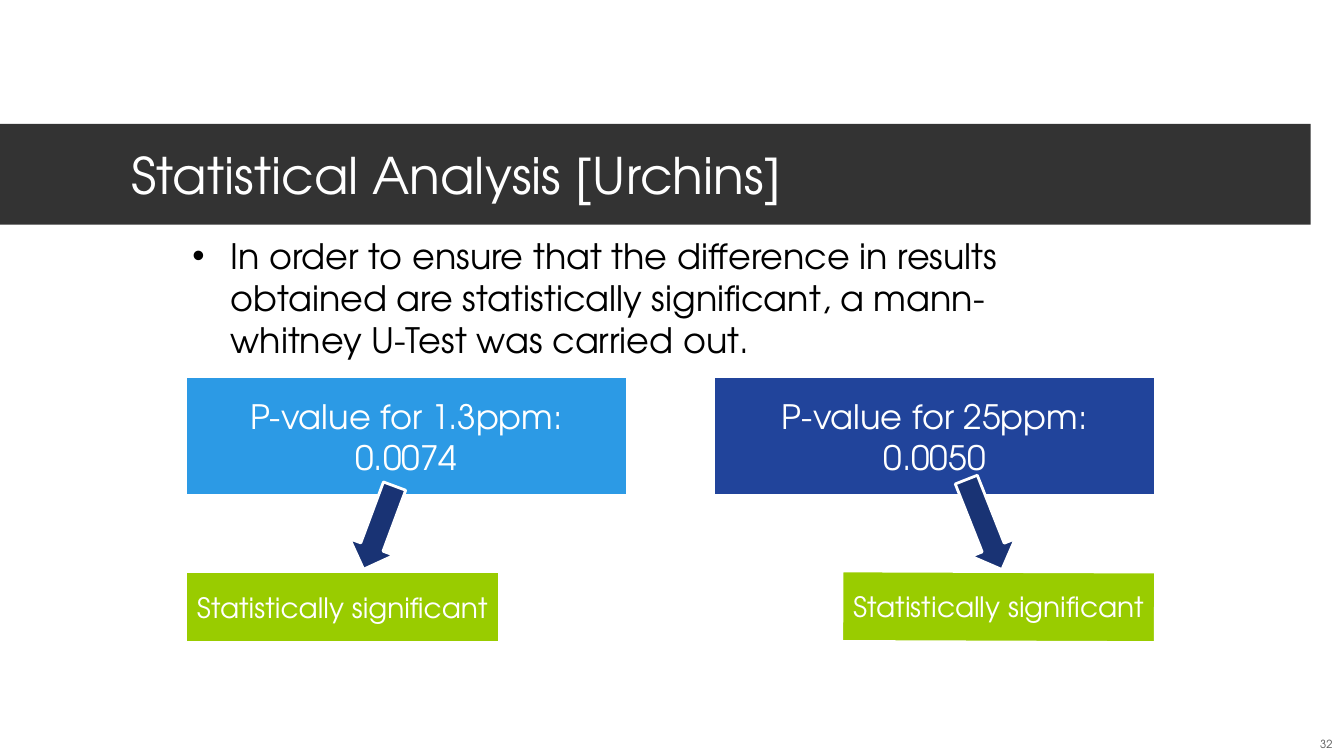
from dataclasses import dataclass

from lxml import etree
from pptx import Presentation
from pptx import util as u
from pptx.dml.color import RGBColor
from pptx.enum import shapes, text
from pptx.oxml.ns import qn
from pptx.shapes.autoshape import Shape
from pptx.slide import Slide

PX = 9144
FONT = "TeX Gyre Adventor"
COLORS = {
    "white": "FFFFFF",
    "black": "000000",
    "band": "333333",
    "number": "595959",
    "low_dose": "2C9AE5",
    "high_dose": "21449B",
    "verdict": "99CC00",
    "arrow": "193374",
}


@dataclass(frozen=True)
class Block:
    left: int
    top: int
    width: int
    height: int
    color: str
    lines: tuple[str, ...] = ()
    size: int = 24
    rotation: float = 0
    kind: shapes.MSO_SHAPE = shapes.MSO_SHAPE.RECTANGLE
    outlined: bool = True


VERDICT = ("Statistically significant",)
ARROW = shapes.MSO_SHAPE.RIGHT_ARROW
BLOCKS = (
    Block(184, 374, 438, 118, "low_dose", ("P-value for 1.3ppm:", "0.0074")),
    Block(708, 374, 438, 118, "high_dose", ("P-value for 25ppm:", "0.0050")),
    Block(184, 567, 311, 70, "verdict", VERDICT, 20),
    Block(835, 567, 311, 70, "verdict", VERDICT, 20, 0.2),
    Block(928, 497, 96, 47, "arrow", rotation=68.4, kind=ARROW),
    Block(332, 500, 88, 47, "arrow", rotation=110.4, kind=ARROW),
)


def px(length: int) -> u.Emu:
    return u.Emu(length * PX)


def rgb(name: str) -> RGBColor:
    return RGBColor.from_string(COLORS[name])


def write(
    shape: Shape,
    *lines: str,
    size: int,
    color: str = "white",
    align: text.PP_ALIGN = text.PP_ALIGN.CENTER,
    anchor: text.MSO_ANCHOR = text.MSO_ANCHOR.MIDDLE,
    insets: tuple[int, int, int, int] = (10, 5, 10, 5),
    hanging: int = 0,
) -> None:
    frame = shape.text_frame
    frame.word_wrap = True
    frame.vertical_anchor = anchor
    (frame.margin_left, frame.margin_top,
     frame.margin_right, frame.margin_bottom) = map(px, insets)
    frame.text = "\n".join(lines)
    for paragraph in frame.paragraphs:
        paragraph.alignment = align
        if hanging:
            properties = paragraph._p.get_or_add_pPr()
            properties.set("marL", str(px(hanging)))
            properties.set("indent", str(-px(hanging)))
            etree.SubElement(properties, qn("a:buFont"), typeface="Arial")
            etree.SubElement(properties, qn("a:buChar"), char="•")
        for run in paragraph.runs:
            run.font.name = FONT
            run.font.size = u.Pt(size)
            run.font.color.rgb = rgb(color)


def draw(slide: Slide, block: Block) -> Shape:
    shape = slide.shapes.add_shape(
        block.kind, px(block.left), px(block.top), px(block.width), px(block.height)
    )
    shape.shadow.inherit = False
    shape.rotation = block.rotation
    shape.fill.solid()
    shape.fill.fore_color.rgb = rgb(block.color)
    if block.outlined:
        shape.line.color.rgb = rgb("white")
        shape.line.width = u.Pt(2)
    else:
        shape.line.fill.background()
    if block.lines:
        write(shape, *block.lines, size=block.size)
    return shape


def main() -> None:
    deck = Presentation()
    deck.slide_width, deck.slide_height = u.Inches(13.33), u.Inches(7.5)
    slide = deck.slides.add_slide(deck.slide_layouts[6])

    title = draw(slide, Block(0, 123, 1300, 100, "band", outlined=False))
    write(title, "Statistical Analysis [Urchins]", size=36,
          align=text.PP_ALIGN.LEFT, insets=(130, 5, 30, 5))

    slide_number = slide.shapes.add_textbox(px(1299), px(727), px(33), px(22))
    write(slide_number, "32", size=8, color="number", insets=(0, 0, 0, 0))

    method = slide.shapes.add_textbox(px(181), px(228), px(914), px(136))
    write(method,
          "In order to ensure that the difference in results obtained are "
          "statistically significant, a mann-whitney U-Test was carried out.",
          size=25, color="black", align=text.PP_ALIGN.LEFT,
          anchor=text.MSO_ANCHOR.TOP, hanging=38)

    for block in BLOCKS:
        draw(slide, block)

    deck.save("out.pptx")


if __name__ == "__main__":
    main()
